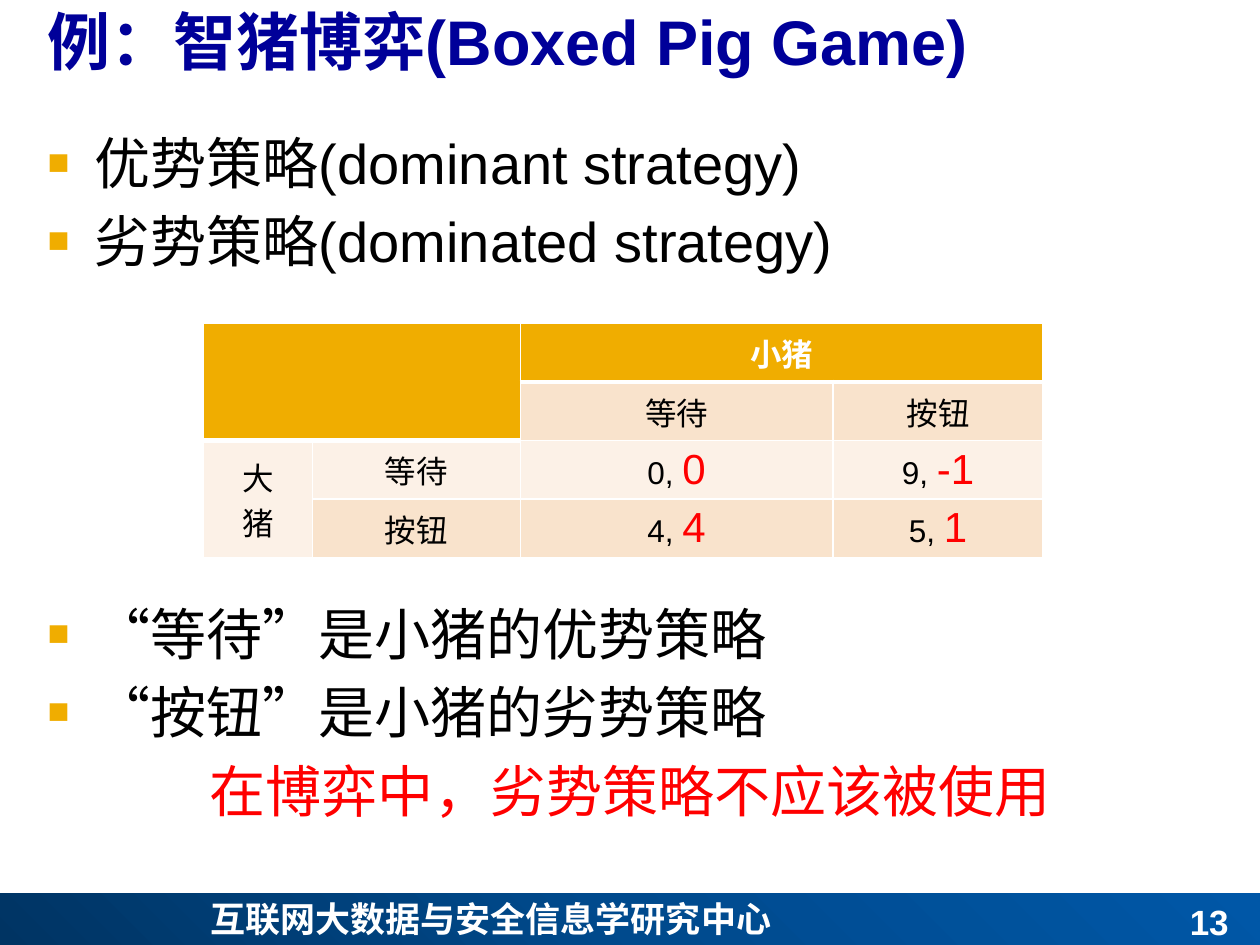
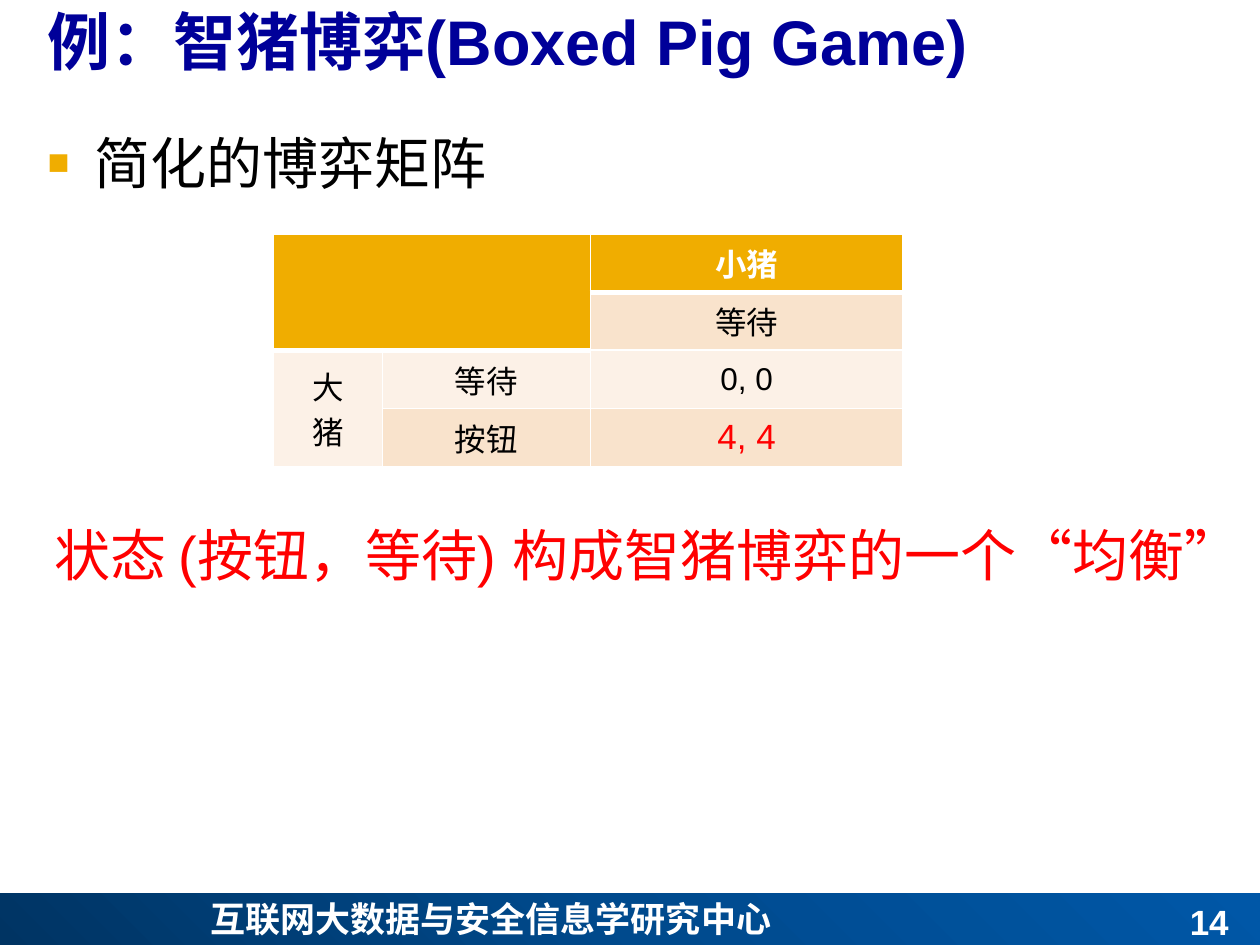
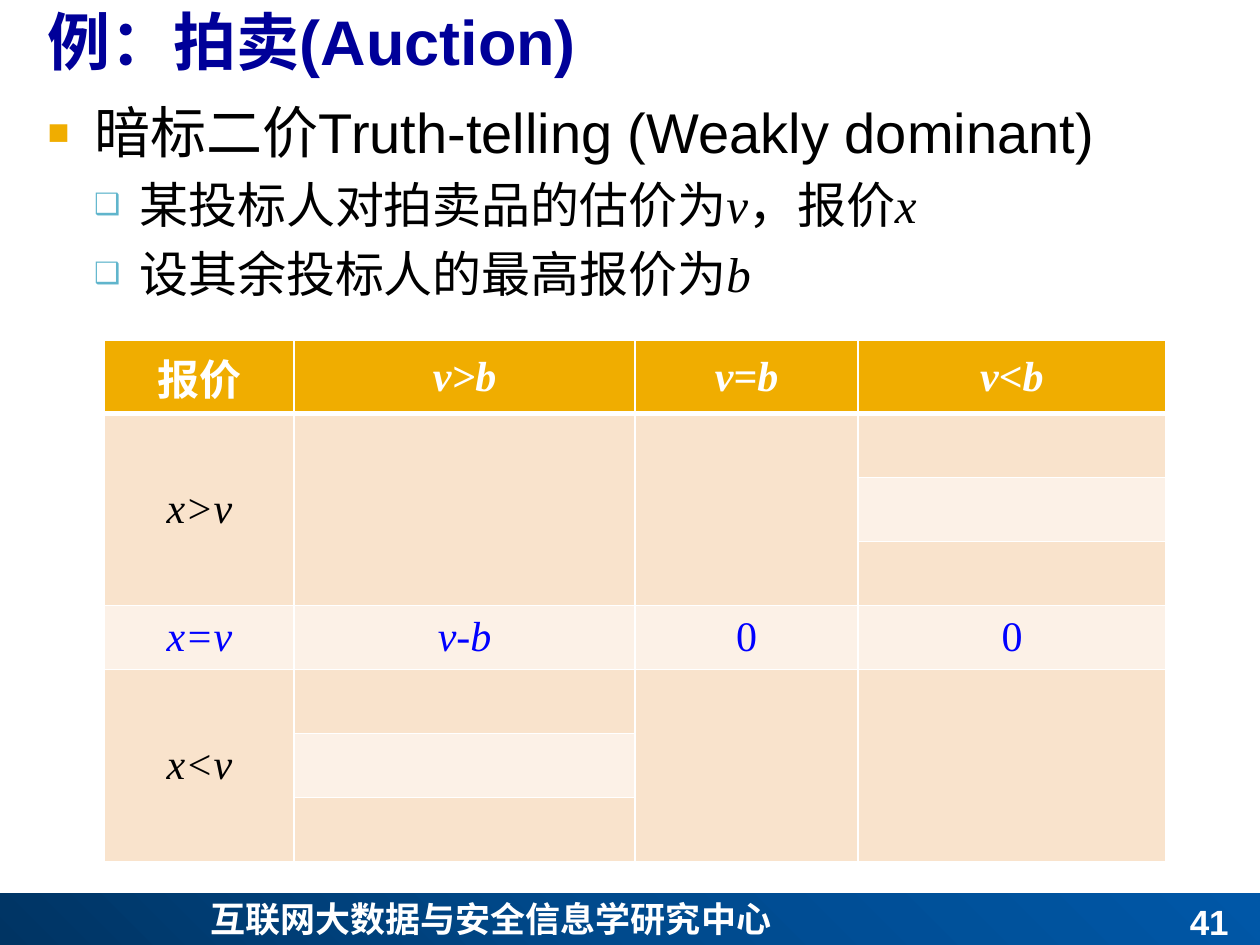
"""Build three game theory slides with payoff tables."""
from dataclasses import dataclass, field
from itertools import product
from typing import NamedTuple, Optional

import lxml.etree
import pptx
import pptx.dml.color
import pptx.enum.shapes
import pptx.enum.text
import pptx.oxml.ns
import pptx.slide
import pptx.table
import pptx.text.text
import pptx.util

RGBColor = pptx.dml.color.RGBColor
Cm = pptx.util.Cm
Pt = pptx.util.Pt
ALIGN = pptx.enum.text.PP_ALIGN
ANCHOR = pptx.enum.text.MSO_ANCHOR

WHITE = RGBColor(0xFF, 0xFF, 0xFF)
BLACK = RGBColor(0x00, 0x00, 0x00)
RED = RGBColor(0xFF, 0x00, 0x00)
BLUE = RGBColor(0x00, 0x00, 0xFF)
NAVY = RGBColor(0x00, 0x00, 0x99)
AMBER = RGBColor(0xF0, 0xAD, 0x00)
TEAL = RGBColor(0x60, 0xB5, 0xCC)
BAND_DARK = RGBColor(0xF9, 0xE3, 0xCC)
BAND_LIGHT = RGBColor(0xFC, 0xF1, 0xE7)
FOOTER_STOPS = (
    (0, RGBColor(0x00, 0x34, 0x63)),
    (50, RGBColor(0x00, 0x4A, 0x8D)),
    (100, RGBColor(0x00, 0x57, 0xA7)),
)

LATIN = "Arial"
SERIF = "Times New Roman"
CHINESE = "Noto Sans CJK SC"
FOOTER_TEXT = "互联网大数据与安全信息学研究中心"
TABLE_GAP = 186


class Box(NamedTuple):
    """Place and size in centimetres."""

    left: float
    top: float
    width: float
    height: float


class Style(NamedTuple):
    """Character formatting of a paragraph or a run."""

    size: float
    color: RGBColor = BLACK
    bold: bool = False
    italic: bool = False
    latin: str = LATIN


class Run(NamedTuple):
    """A piece of text, styled when it departs from its paragraph."""

    text: str
    style: Optional[Style] = None


class Bullet(NamedTuple):
    """A bullet character with its colour, percentage size and indents."""

    character: str
    color: RGBColor
    percent: int
    margin: float
    hanging: float


class Line(NamedTuple):
    """A paragraph of body text."""

    runs: tuple[Run, ...]
    style: Style
    bullet: Optional[Bullet] = None
    space_before: float = 0


class Entry(NamedTuple):
    """The content of a table cell, one tuple of runs per paragraph."""

    paragraphs: tuple[tuple[Run, ...], ...]
    style: Style


@dataclass(frozen=True)
class Grid:
    """A table with merged areas and entries keyed by row and column."""

    left: float
    top: float
    widths: tuple[float, ...]
    heights: tuple[float, ...]
    entries: dict[tuple[int, int], Entry]
    spans: dict[tuple[int, int], tuple[int, int]] = field(default_factory=dict)


@dataclass(frozen=True)
class Page:
    """Everything that differs between slides."""

    title: str
    number: int
    body: Box
    lines: tuple[Line, ...]
    grid: Grid


TITLE_BOX = Box(0.71, -0.08, 24.69, 2.01)
BAND_BOX = Box(0, 18.01, 25.4, 1.12)
FOOTER_BOX = Box(3.99, 17.97, 17.4, 1.12)
NUMBER_BOX = Box(19.1, 18.01, 5.92, 1.12)

TITLE_STYLE = Style(36, NAVY, bold=True)
FOOTER_STYLE = Style(20, WHITE, bold=True)
BODY_STYLE = Style(32)
SUB_STYLE = Style(28)
VARIABLE = Style(28, italic=True, latin=SERIF)
HEADER = Style(18, WHITE, bold=True)
CELL = Style(18)
PAYOFF = Style(24, RED)
FORMULA = Style(24, italic=True, latin=SERIF)
SQUARE = Bullet("■", AMBER, 65, 0.95, 0.95)
HOLLOW = Bullet("❑", TEAL, 60, 1.85, 0.91)


def point(text: str, space_before: float = 6.4) -> Line:
    """Return a first-level bullet line."""
    return Line((Run(text),), BODY_STYLE, SQUARE, space_before)


def subpoint(*runs: Run) -> Line:
    """Return a second-level bullet line."""
    return Line(runs, SUB_STYLE, HOLLOW, 5.6)


def conclusion(text: str, space_before: float = 6.4) -> Line:
    """Return a centred red line."""
    return Line((Run(text),), Style(32, RED), None, space_before)


def entry(text: str, style: Style = CELL) -> Entry:
    """Return a cell entry with one paragraph for each line of text."""
    return Entry(tuple((Run(part),) for part in text.split("\n")), style)


def payoff(big: str, small: str) -> Entry:
    """Return both payoffs with the small pig's emphasised."""
    return Entry(((Run(big + ", "), Run(small, PAYOFF)),), CELL)


def add_child(parent, tag: str, **attributes: str):
    """Append a DrawingML element and return it."""
    child = lxml.etree.SubElement(parent, pptx.oxml.ns.qn("a:" + tag))
    for name, value in attributes.items():
        child.set(name, value)
    return child


def apply_style(font: pptx.text.text.Font, style: Style) -> None:
    """Set the character formatting of a font."""
    font.size = Pt(style.size)
    font.bold = style.bold
    font.italic = style.italic
    font.name = style.latin
    font.color.rgb = style.color


def write_runs(paragraph, runs: tuple[Run, ...], style: Style) -> None:
    """Fill a paragraph with runs and set its fonts."""
    apply_style(paragraph.font, style)
    add_child(paragraph._p.pPr.get_or_add_defRPr(), "ea", typeface=CHINESE)
    for part in runs:
        run = paragraph.add_run()
        run.text = part.text
        if part.style:
            apply_style(run.font, part.style)


def add_bullet(paragraph, bullet: Bullet) -> None:
    """Give a paragraph a hanging bullet."""
    properties = paragraph._p.get_or_add_pPr()
    properties.set("marL", str(Cm(bullet.margin)))
    properties.set("indent", str(-Cm(bullet.hanging)))
    color = add_child(properties, "buClr")
    add_child(color, "srgbClr", val=str(bullet.color))
    add_child(properties, "buSzPct", val=str(bullet.percent * 1000))
    add_child(properties, "buFont", typeface=LATIN)
    add_child(properties, "buChar", char=bullet.character)


def add_text_box(slide: pptx.slide.Slide, box: Box) -> pptx.text.text.TextFrame:
    """Add a wrapping text box and return its frame."""
    shape = slide.shapes.add_textbox(*map(Cm, box))
    shape.text_frame.word_wrap = True
    return shape.text_frame


def add_title(slide: pptx.slide.Slide, text: str) -> None:
    """Place and format the title placeholder."""
    shape = slide.shapes.title
    shape.left, shape.top, shape.width, shape.height = map(Cm, TITLE_BOX)
    frame = shape.text_frame
    frame.auto_size = pptx.enum.text.MSO_AUTO_SIZE.NONE
    frame.vertical_anchor = ANCHOR.TOP
    paragraph = frame.paragraphs[0]
    paragraph.alignment = ALIGN.LEFT
    write_runs(paragraph, (Run(text),), TITLE_STYLE)


def add_footer(slide: pptx.slide.Slide, number: int) -> None:
    """Add the gradient band, the centre's name and the page number."""
    rectangle = pptx.enum.shapes.MSO_SHAPE.RECTANGLE
    band = slide.shapes.add_shape(rectangle, *map(Cm, BAND_BOX))
    band.shadow.inherit = False
    band.line.fill.background()
    band.fill.gradient()
    gradient = band._element.spPr.find(pptx.oxml.ns.qn("a:gradFill"))
    for child in list(gradient):
        gradient.remove(child)
    stops = add_child(gradient, "gsLst")
    for percent, color in FOOTER_STOPS:
        stop = add_child(stops, "gs", pos=str(percent * 1000))
        add_child(stop, "srgbClr", val=str(color))
    circle = add_child(gradient, "path", path="circle")
    add_child(circle, "fillToRect", t="100000", r="100000")

    name = add_text_box(slide, FOOTER_BOX).paragraphs[0]
    name.alignment = ALIGN.JUSTIFY
    write_runs(name, (Run(FOOTER_TEXT),), FOOTER_STYLE._replace(latin=CHINESE))

    frame = add_text_box(slide, NUMBER_BOX)
    frame.vertical_anchor = ANCHOR.BOTTOM
    frame.paragraphs[0].alignment = ALIGN.RIGHT
    write_runs(frame.paragraphs[0], (Run(str(number)),), FOOTER_STYLE)


def add_body(slide: pptx.slide.Slide, box: Box, lines: tuple[Line, ...]) -> None:
    """Add the bullet text."""
    frame = add_text_box(slide, box)
    for index, line in enumerate(lines):
        paragraph = frame.add_paragraph() if index else frame.paragraphs[0]
        paragraph.space_before = Pt(line.space_before if index else 0)
        if line.bullet:
            add_bullet(paragraph, line.bullet)
        else:
            paragraph.alignment = ALIGN.CENTER
        write_runs(paragraph, line.runs, line.style)


def add_borders(cell: pptx.table._Cell, top: float, bottom: float) -> None:
    """Draw white borders around a cell."""
    properties = cell._tc.get_or_add_tcPr()
    for side, width in (("L", 1), ("R", 1), ("T", top), ("B", bottom)):
        border = add_child(properties, "ln" + side, w=str(Pt(width)))
        add_child(add_child(border, "solidFill"), "srgbClr", val=str(WHITE))


def add_grid(slide: pptx.slide.Slide, grid: Grid) -> None:
    """Add a banded table with merged cells."""
    row_count, column_count = len(grid.heights), len(grid.widths)
    size = (sum(grid.widths), sum(grid.heights))
    table = slide.shapes.add_table(
        row_count, column_count, *map(Cm, (grid.left, grid.top, *size))
    ).table
    table.first_row = table.horz_banding = False
    for column, width in zip(table.columns, grid.widths):
        column.width = Cm(width)
    for row, height in zip(table.rows, grid.heights):
        row.height = Cm(height)

    origin_rows = {key: key[0] for key in product(range(row_count), range(column_count))}
    for (row, column), (rows, columns) in grid.spans.items():
        table.cell(row, column).merge(table.cell(row + rows - 1, column + columns - 1))
        for down, across in product(range(rows), range(columns)):
            origin_rows[row + down, column + across] = row

    def edge(row: int, column: int) -> float:
        """Return the border width below a cell."""
        is_header = origin_rows.get((row, column)) == 0
        return 3 if is_header and origin_rows.get((row + 1, column)) != 0 else 1

    for (row, column), origin_row in origin_rows.items():
        cell = table.cell(row, column)
        add_borders(cell, edge(row - 1, column), edge(row, column))
        cell.margin_top = cell.margin_bottom = Cm(0.05)
        cell.fill.solid()
        band = BAND_DARK if origin_row % 2 else BAND_LIGHT
        cell.fill.fore_color.rgb = band if origin_row else AMBER

    for key, content in grid.entries.items():
        cell = table.cell(*key)
        cell.vertical_anchor = ANCHOR.MIDDLE
        frame = cell.text_frame
        for index, runs in enumerate(content.paragraphs):
            paragraph = frame.add_paragraph() if index else frame.paragraphs[0]
            paragraph.alignment = ALIGN.CENTER
            write_runs(paragraph, runs, content.style)


PIG_LABELS = {
    (0, 2): entry("小猪", HEADER),
    (1, 2): entry("等待"),
    (2, 0): entry("大\n猪"),
    (2, 1): entry("等待"),
    (3, 1): entry("按钮"),
}
PIG_SPANS = {(0, 0): (2, 2), (2, 0): (2, 1)}
PIG_WIDTHS = (2.2, 4.19, 6.3)

FULL_GAME = Grid(
    4.1, 6.52, (*PIG_WIDTHS, 4.24), (1.18,) * 4,
    {
        **PIG_LABELS,
        (1, 3): entry("按钮"),
        (2, 2): payoff("0", "0"),
        (2, 3): payoff("9", "-1"),
        (3, 2): payoff("4", "4"),
        (3, 3): payoff("5", "1"),
    },
    {**PIG_SPANS, (0, 2): (1, 2)},
)
REDUCED_GAME = Grid(
    5.51, 4.72, PIG_WIDTHS, (1.17,) * 4,
    {**PIG_LABELS, (2, 2): entry("0, 0"), (3, 2): entry("4, 4", Style(20, RED))},
    PIG_SPANS,
)

FORMULA_HEADER = FORMULA._replace(color=WHITE, bold=True)
TRUTHFUL = FORMULA._replace(color=BLUE)
TRUTHFUL_ZERO = TRUTHFUL._replace(italic=False)
AUCTION = Grid(
    2.11, 6.86, (3.82, 6.87, 4.5, 6.2), (1.48,) + (1.29,) * 7,
    {
        (0, 0): entry("报价", FORMULA_HEADER._replace(italic=False)),
        (0, 1): entry("v>b", FORMULA_HEADER),
        (0, 2): entry("v=b", FORMULA_HEADER),
        (0, 3): entry("v<b", FORMULA_HEADER),
        (1, 0): entry("x>v", FORMULA),
        (4, 0): entry("x=v", TRUTHFUL),
        (4, 1): entry("v-b", TRUTHFUL),
        (4, 2): entry("0", TRUTHFUL_ZERO),
        (4, 3): entry("0", TRUTHFUL_ZERO),
        (5, 0): entry("x<v", FORMULA),
    },
    {key: (3, 1) for key in ((1, 0), (1, 1), (1, 2), (5, 0), (5, 2), (5, 3))},
)

PIG_TITLE = "例：智猪博弈(Boxed Pig Game)"
PAGES = (
    Page(
        PIG_TITLE, 13, Box(0.71, 2.46, 24, 14.68),
        (
            point("优势策略(dominant strategy)"),
            point("劣势策略(dominated strategy)"),
            point("“等待”是小猪的优势策略", TABLE_GAP),
            point("“按钮”是小猪的劣势策略"),
            conclusion("在博弈中，劣势策略不应该被使用"),
        ),
        FULL_GAME,
    ),
    Page(
        PIG_TITLE, 14, Box(0.71, 2.46, 24.69, 14.68),
        (
            point("简化的博弈矩阵"),
            conclusion("状态 (按钮，等待) 构成智猪博弈的一个“均衡”", TABLE_GAP),
        ),
        REDUCED_GAME,
    ),
    Page(
        "例：拍卖(Auction)", 41, Box(0.71, 1.85, 24, 5.08),
        (
            point("暗标二价Truth-telling (Weakly dominant)"),
            subpoint(
                Run("某投标人对拍卖品的估价为"), Run("v", VARIABLE),
                Run("，报价"), Run("x", VARIABLE),
            ),
            subpoint(Run("设其余投标人的最高报价为"), Run("b", VARIABLE)),
        ),
        AUCTION,
    ),
)


def main() -> None:
    """Build and save the presentation."""
    presentation = pptx.Presentation()
    presentation.slide_width, presentation.slide_height = Cm(25.4), Cm(19.05)
    title_only = presentation.slide_layouts.get_by_name("Title Only")
    for page in PAGES:
        slide = presentation.slides.add_slide(title_only)
        add_footer(slide, page.number)
        add_title(slide, page.title)
        add_body(slide, page.body, page.lines)
        add_grid(slide, page.grid)
    presentation.save("out.pptx")


if __name__ == "__main__":
    main()
